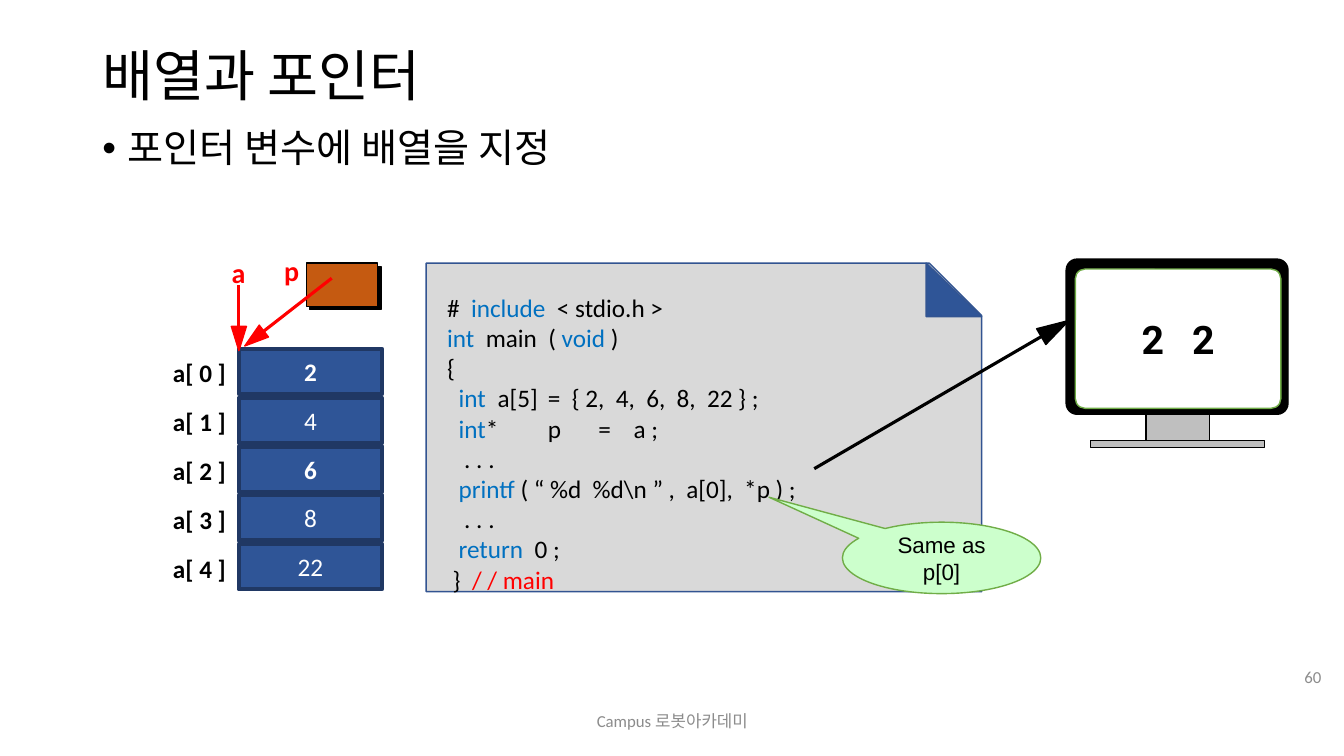
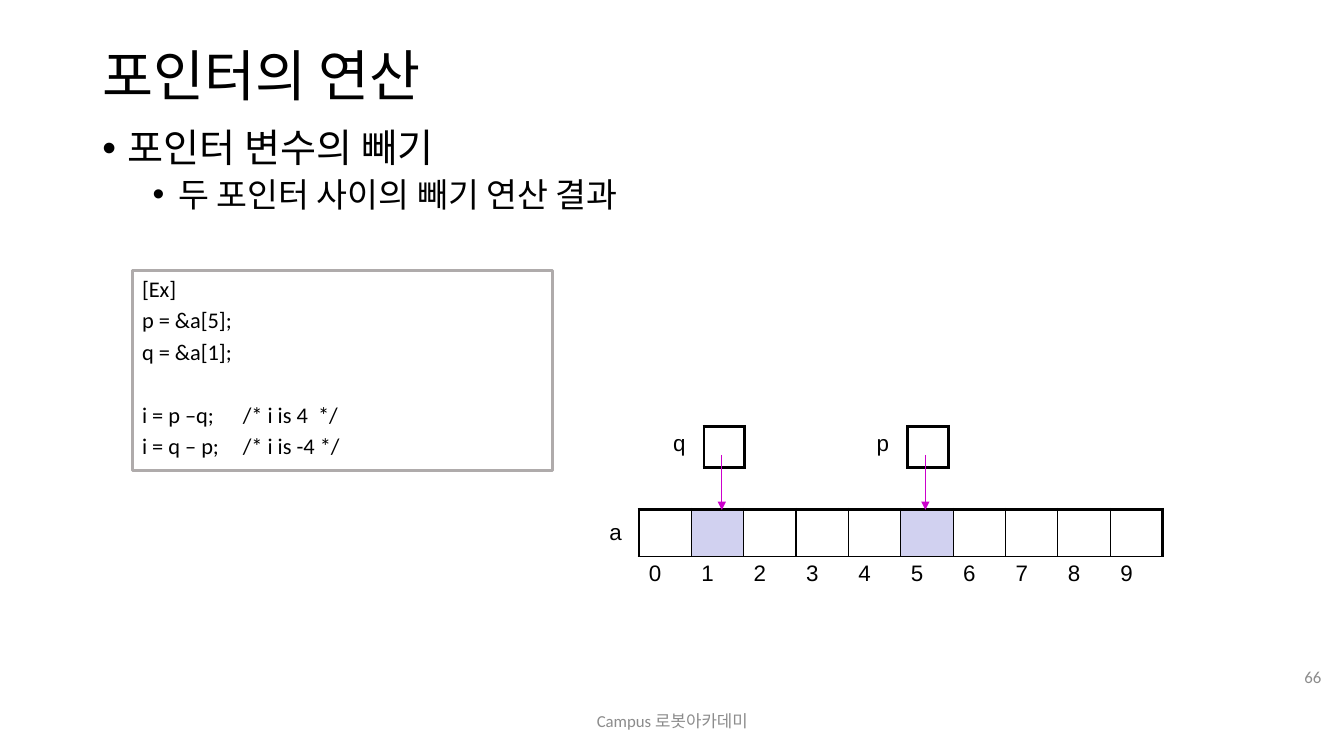
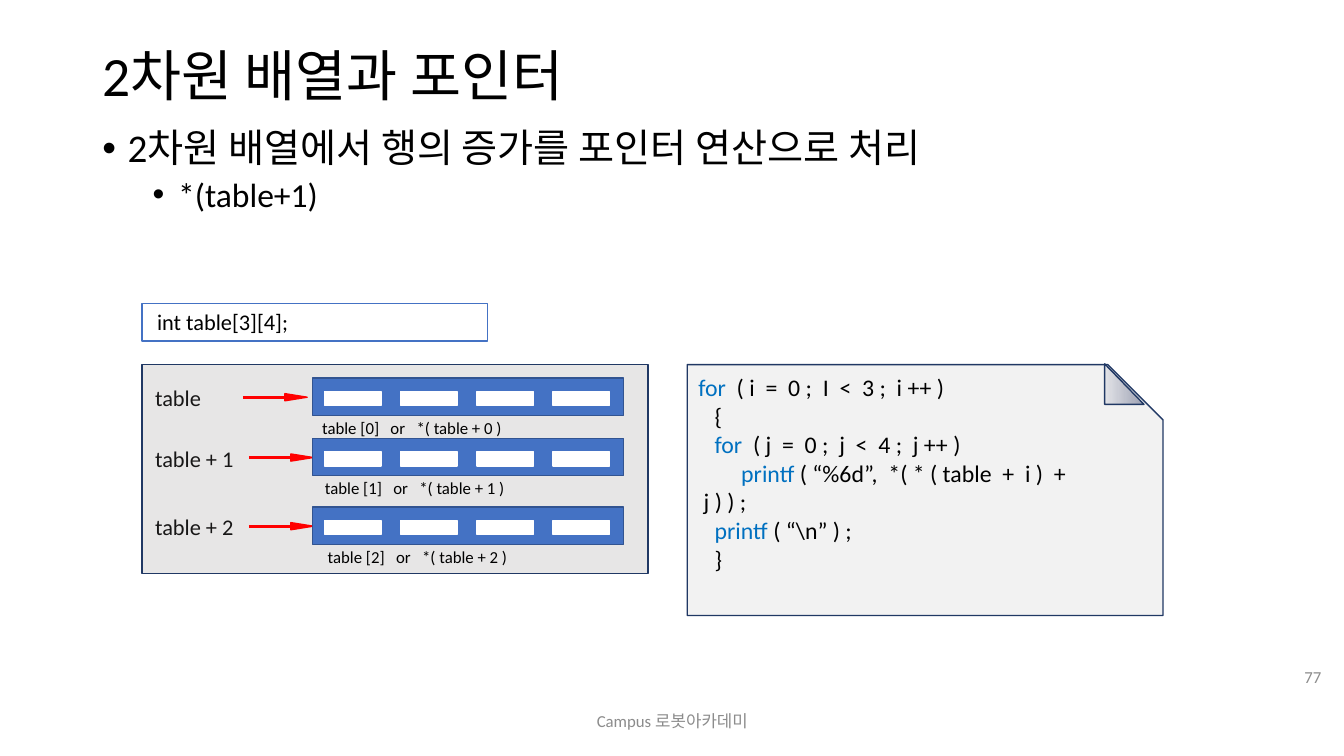
from dataclasses import dataclass
from math import atan2, cos, degrees, sin

from lxml.etree import SubElement
from pptx import Presentation
from pptx.dml.color import RGBColor
from pptx.enum.shapes import MSO_CONNECTOR, MSO_SHAPE as Kind
from pptx.enum.text import MSO_ANCHOR, PP_ALIGN
from pptx.oxml.ns import qn
from pptx.util import Cm, Pt

INK = {
    "black": "000000", "white": "FFFFFF", "gray": "8C8C8C", "red": "FF0000",
    "key": "0070C0", "cell": "2F5597", "navy": "203864", "edge": "325491",
    "rust": "C55A11", "paper": "D9D9D9", "mint": "CCFFCC", "green": "70AD47",
    "metal": "BFBFBF", "frame": "AFABAB", "lilac": "D1D1F0", "pink": "CC00CC",
    "blue": "4472C4", "panel": "E7E6E6", "name": "181717", "sheet": "F2F2F2",
    "dark": "9DA1B3", "light": "E2E3E7",
}
ALIGN = {"left": PP_ALIGN.LEFT, "center": PP_ALIGN.CENTER, "right": PP_ALIGN.RIGHT}
FOOTER = "Campus 로봇아카데미"
PLAIN = "{2D5ABB26-0587-4C30-8999-92F81FD0307C}"  # table style without grid


def ink(name):
    return RGBColor.from_string(INK[name])


@dataclass
class Line:
    """One paragraph: runs are strings or (string, colour) pairs; lengths in cm."""
    runs: tuple
    first: float = 0
    left: float = 0
    tabs: tuple = ()
    gap: float = None
    size: float = None
    bullet: bool = False


def write(frame, *lines, size=18, color="black", font="Calibri", bold=False,
          align="left", anchor="top", space=None, gap=0):
    frame.word_wrap = True
    frame.vertical_anchor = getattr(MSO_ANCHOR, anchor.upper())
    for i, line in enumerate(lines):
        if isinstance(line, str):
            line = Line((line,))
        para = frame.add_paragraph() if i else frame.paragraphs[0]
        para.alignment = ALIGN[align]
        para.space_before = Pt(gap if line.gap is None else line.gap)
        if space:
            para.line_spacing = space
        props = para._p.get_or_add_pPr()
        props.set("marL", str(Cm(line.left)))
        props.set("indent", str(Cm(line.first)))
        if line.bullet:
            SubElement(props, qn("a:buFont")).set("typeface", "Arial")
            SubElement(props, qn("a:buChar")).set("char", "•")
        if line.tabs:
            stops = SubElement(props, qn("a:tabLst"))
            for stop in line.tabs:
                SubElement(stops, qn("a:tab"), pos=str(Cm(stop)), algn="l")
        for part in line.runs:
            words, tint = (part, color) if isinstance(part, str) else part
            run = para.add_run()
            run.text = words
            run.font.name = font
            run.font.size = Pt(line.size or size)
            run.font.bold = bold
            run.font.color.rgb = ink(tint)


def key(words):
    return words, "key"


class Deck:
    def __init__(self):
        self.show = Presentation()
        self.show.slide_width, self.show.slide_height = Cm(33.87), Cm(19.05)
        self.slide = None

    def page(self, title, number, *points):
        """Start a slide with title, bullets, footer and page number."""
        self.slide = self.show.slides.add_slide(self.show.slide_layouts[6])
        self.text(2.33, 1.02, 29.21, 1.9, title, size=39.6, anchor="middle", space=0.9)
        rows = [Line((point,), first=-0.64, left=0.64 + 1.27 * i, bullet=True,
                     size=28 - 4 * i, gap=10 - 5 * i)
                for i, point in enumerate(points)]
        self.text(2.33, 3.12, 29.21, 14.05, *rows, space=0.9)
        small = dict(size=12, color="gray", anchor="middle")
        self.text(11.23, 17.65, 11.43, 1.02, FOOTER, align="center", **small)
        self.text(31.98, 16.54, 1.57, 1.02, number, align="right", **small)

    def text(self, x, y, w, h, *lines, **form):
        box = self.slide.shapes.add_textbox(Cm(x), Cm(y), Cm(w), Cm(h))
        write(box.text_frame, *lines, **form)

    def shape(self, x, y, w, h, fill, line, *lines, kind=Kind.RECTANGLE,
              width=1, adjust=(), turn=0, **form):
        shape = self.slide.shapes.add_shape(kind, Cm(x), Cm(y), Cm(w), Cm(h))
        shape.shadow.inherit = False
        shape.rotation = turn
        for i, value in enumerate(adjust):
            shape.adjustments[i] = value
        if isinstance(fill, tuple):
            shape.fill.gradient()
            shape.fill.gradient_angle = 180
            for stop, tint in zip(shape.fill.gradient_stops, fill):
                stop.color.rgb = ink(tint)
        else:
            shape.fill.solid()
            shape.fill.fore_color.rgb = ink(fill)
        shape.line.color.rgb = ink(line)
        shape.line.width = Pt(width)
        if lines:
            write(shape.text_frame, *lines, **form)

    def line(self, x1, y1, x2, y2, color, width=2.25, head=False):
        line = self.slide.shapes.add_connector(
            MSO_CONNECTOR.STRAIGHT, Cm(x1), Cm(y1), Cm(x2), Cm(y2))
        line.line.color.rgb = ink(color)
        line.line.width = Pt(width)
        if head:
            SubElement(line.line._get_or_add_ln(), qn("a:tailEnd")).set("type", "triangle")
        SubElement(line._element.spPr, qn("a:effectLst"))

    def arrow(self, x1, y1, x2, y2, color, wide, long):
        """Shaft plus a large head centred on the second point."""
        angle = atan2(y2 - y1, x2 - x1)
        self.shape(x2 - wide / 2, y2 - long / 2, wide, long, color, color,
                   kind=Kind.ISOSCELES_TRIANGLE, turn=degrees(angle) + 90)
        self.line(x1, y1, x2 - cos(angle) * long / 2, y2 - sin(angle) * long / 2, color)

    def table(self, x, y, w, h, rows):
        """Grid of equal cells, w by h each."""
        count = len(rows[0])
        grid = self.slide.shapes.add_table(
            len(rows), count, Cm(x), Cm(y), Cm(w * count), Cm(h * len(rows))).table
        grid.first_row = grid.horz_banding = False
        grid._tbl.tblPr.find(qn("a:tableStyleId")).text = PLAIN
        for col in grid.columns:
            col.width = Cm(w)
        for r, row in enumerate(rows):
            grid.rows[r].height = Cm(h)
            for c, words in enumerate(row):
                cell = grid.cell(r, c)
                cell.fill.background()
                if words:
                    write(cell.text_frame, words, size=16, font="Arial")
        return grid

    def border(self, cell, **sides):
        """Widths in points for the sides L, R, T and B."""
        props = cell._tc.get_or_add_tcPr()
        for i, side in enumerate("LRTB"):
            edge = SubElement(props, qn("a:ln" + side), w=str(Pt(sides[side])))
            fill = SubElement(edge, qn("a:solidFill"))
            SubElement(fill, qn("a:srgbClr")).set("val", INK["black"])
            props.insert(i, edge)


deck = Deck()

# Array and pointer
deck.page("배열과 포인터", "60", "포인터 변수에 배열을 지정")

# Array cells
for i, value in enumerate((2, 4, 6, 8, 22)):
    top = 8.79 + 1.23 * i
    deck.shape(6.02, top, 3.61, 1.14, "cell", "navy", str(value), width=3,
               color="white", bold=value in (2, 6), align="center", anchor="middle")
    deck.text(4.11, top + 0.1, 2, 1.02, f"a[ {i} ]", bold=True)

# Pointer variable
deck.shape(7.8, 6.71, 1.8, 1.09, "black", "black")
deck.shape(7.72, 6.63, 1.8, 1.09, "rust", "black")
for name, left, top in (("p", 6.91, 6.27), ("a", 5.59, 6.32)):
    deck.text(left, top, 1.4, 1.12, name, size=20, color="red", bold=True)
deck.arrow(6.02, 7.19, 6.02, 8.53, "red", 0.38, 0.61)
deck.arrow(8.36, 7.01, 6.41, 8.53, "red", 0.38, 0.61)

# Program
tabs = (2.54, 5.08)
deck.shape(10.74, 6.63, 14, 8.28, "paper", "edge",
           kind=Kind.SNIP_1_RECTANGLE, adjust=(0.16,))
deck.shape(23.34, 6.63, 1.4, 1.35, "cell", "edge", kind=Kind.RIGHT_TRIANGLE)
deck.text(
    11.02, 7.23, 13.21, 7.96,
    Line(("# ", key(" include  "), "< stdio.h >")),
    Line((key("int  "), "main  ( ", key("void "), ")")),
    "{",
    Line((key("int\t"), "a[5]\t=  { 2,  4,  6,  8,  22 } ;"), first=0.29, tabs=tabs),
    Line((key("int"), "*\tp\t=    a ;"), first=0.29, tabs=tabs),
    Line((". . .",), first=0.43),
    Line((key("printf"), " ( “ %d  %d\\n ” ,  a[0],  *p ) ;"), first=0.29),
    Line((". . .",), first=0.43),
    Line((key("return  "), "0 ;"), first=0.29),
    Line(("}  ", ("/ / main", "red")), first=0.14))
deck.shape(21.23, 13.16, 5, 1.8, "mint", "green", "Same as p[0]",
           kind=Kind.OVAL_CALLOUT, adjust=(-0.87, -0.85), size=16, font="Arial",
           align="center", anchor="middle")

# Monitor
deck.shape(28.88, 10.29, 1.6, 0.84, "metal", "black")
deck.shape(26.87, 6.53, 5.59, 3.91, "black", "black",
           kind=Kind.ROUNDED_RECTANGLE, adjust=(0.07,))
deck.shape(27.1, 6.78, 5.18, 3.51, "white", "green", "2\t2",
           kind=Kind.ROUNDED_RECTANGLE, adjust=(0.07,), size=28, font="Roboto",
           bold=True, align="center", anchor="middle")
deck.shape(27.48, 11.1, 4.39, 0.18, "metal", "black")
deck.arrow(20.52, 11.81, 26.59, 8.28, "black", 0.46, 0.81)

# Pointer arithmetic
deck.page("포인터의 연산", "66", "포인터 변수의 빼기", "두 포인터 사이의 빼기 연산 결과")
deck.shape(3.33, 6.81, 10.59, 5.05, "white", "frame",
           "[Ex]", "p = &a[5];", "q = &a[1];",
           Line(("i = p –q;\t/* i is 4  */",), tabs=(5.08,), gap=26),
           Line(("i = q – p;\t/* i is -4 */",), tabs=(4.57,)),
           width=2.25, size=16, gap=3.2)

# Array
array = deck.table(16.1, 12.83, 1.32, 1.2, [[""] * 10, [str(i) for i in range(10)]])
for i in range(10):
    cell = array.cell(0, i)
    if i in (1, 5):
        cell.fill.solid()
        cell.fill.fore_color.rgb = ink("lilac")
    deck.border(cell, L=1 if i else 2.25, R=2.25 if i == 9 else 1, T=2.25, B=1)
deck.text(15.11, 12.93, 1, 0.94, "a", size=16, font="Arial")

# Pointers
for name, left in (("q", 16.71), ("p", 21.84)):
    pair = deck.table(left, 10.74, 1.03, 1.04, [[name, ""]])
    deck.border(pair.cell(0, 1), L=2.25, R=2.25, T=2.25, B=2.25)
    deck.line(left + 1.48, 11.46, left + 1.48, 12.85, "pink", 0.75, head=True)

# Two-dimensional array
deck.page("2차원 배열과 포인터", "77",
          "2차원 배열에서 행의 증가를 포인터 연산으로 처리", "*(table+1)")
deck.shape(3.58, 7.65, 8.71, 0.94, "white", "blue",
           Line(("int table[3][4];",), first=0.13), size=16)
deck.shape(3.58, 9.19, 12.75, 5.26, "panel", "navy")

# Table rows
rows = (("table", 9.53, 6.12), ("table + 1", 11.05, 6.27), ("table + 2", 12.78, 6.27))
for i, (name, top, start) in enumerate(rows):
    deck.text(3.66, top + 0.03, 3, 0.94, name, size=16, color="name")
    deck.arrow(start, top + 0.48, start + 1.34, top + 0.48, "red", 0.18, 0.56)
    deck.shape(7.87, top, 7.85, 0.94, "blue", "edge")
    for j in range(4):
        deck.shape(8.18 + 1.92 * j, top + 0.33, 1.42, 0.36, "white", "white")
    deck.text(7.87 + 0.07 * i, top + 0.87, 5.77, 0.76,
              f"table [{i}]   or   *( table + {i} )", size=12)

# Loop
deck.shape(17.32, 9.19, 11.99, 6.32, "sheet", "navy",
           kind=Kind.SNIP_1_RECTANGLE, adjust=(0.22,))
deck.shape(27.84, 9.17, 0.99, 1.02, ("dark", "light"), "navy", kind=Kind.RIGHT_TRIANGLE)
deck.text(
    17.35, 9.27, 9.78, 5.33,
    Line((key("for"), "  ( i  =  0 ;  I  <  3 ;  i ++ )")),
    Line(("{",), first=0.41),
    Line((key("for  "), "( j  =  0 ;  j  <  4 ;  j ++ )"), first=0.41),
    Line((key("printf "), "( “%6d”,  *( * ( table  +  i )  +  j ) ) ;"), first=1.08),
    Line((key("printf "), "( “\\n” ) ;"), first=0.41),
    Line(("}",), first=0.41),
    size=17)

deck.show.save("out.pptx")
